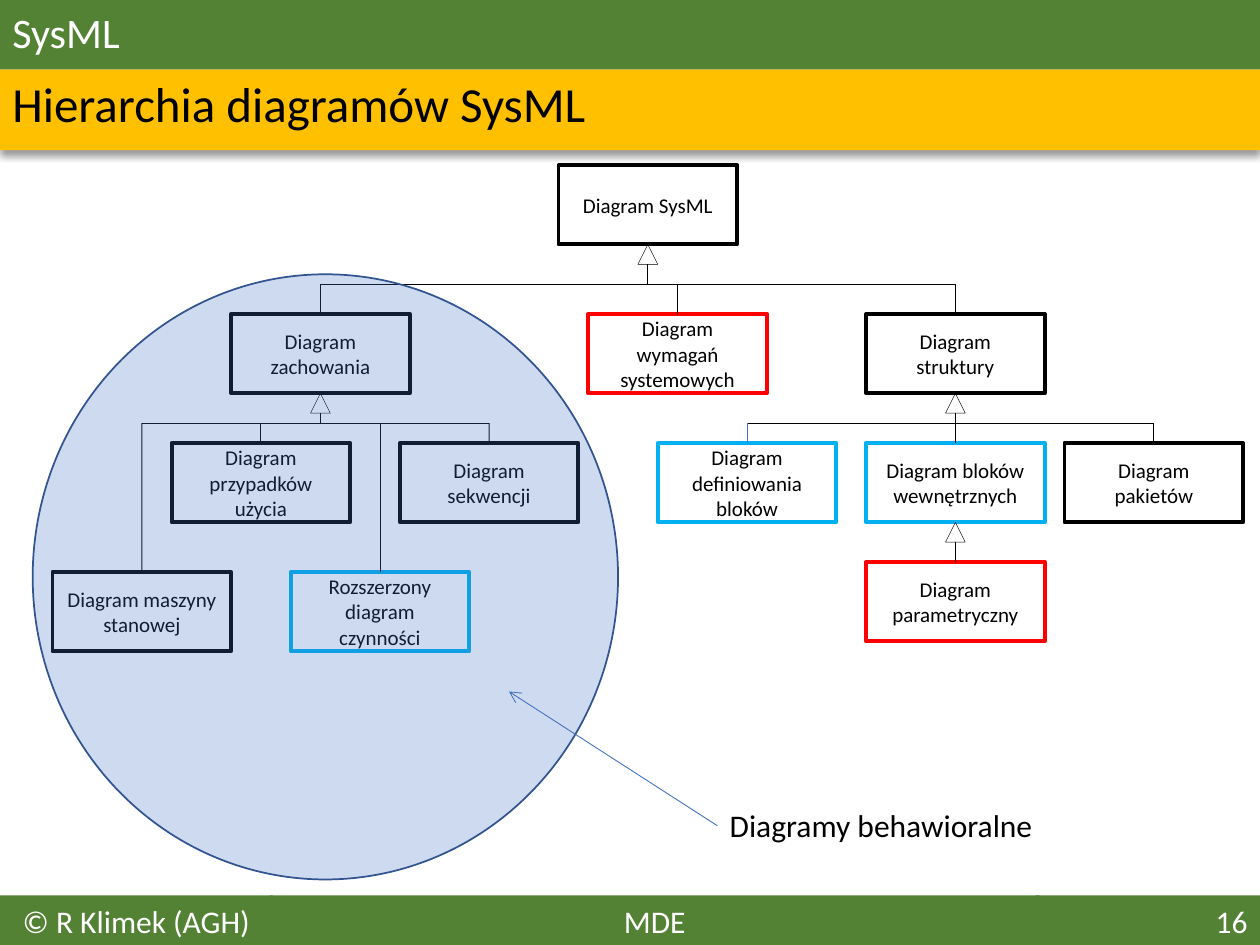
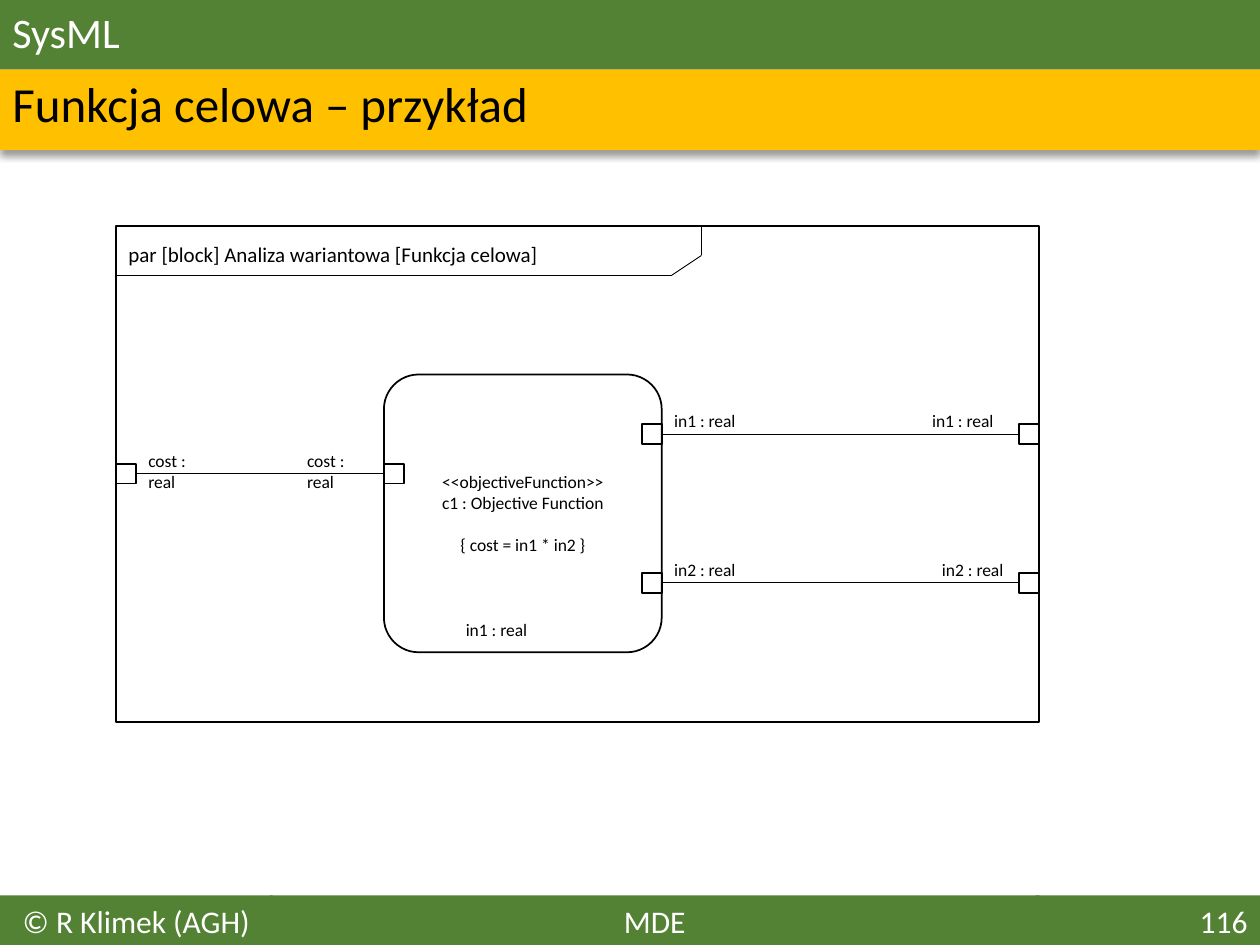
from dataclasses import dataclass
from itertools import pairwise
from typing import NamedTuple

from lxml.etree import SubElement
from pptx import Presentation
from pptx.dml.color import RGBColor
from pptx.enum.shapes import MSO_CONNECTOR, MSO_SHAPE
from pptx.enum.text import MSO_ANCHOR, PP_ALIGN
from pptx.oxml.ns import qn
from pptx.util import Cm, Pt

FONT = "Calibri"
GREEN, AMBER, WHITE, BLACK = "548235", "FFC000", "FFFFFF", "000000"
RED, CYAN, BLUE, NAVY = "FF0000", "00B0F0", "4472C4", "325491"
TOP, LEFT, BOTTOM, RIGHT = range(4)

NODE_WIDTH, NODE_HEIGHT = 3.6, 1.6
TRIANGLE = PORT = 0.4


class Area(NamedTuple):
    left: float
    top: float
    width: float
    height: float


class Point(NamedTuple):
    x: float
    y: float


@dataclass(frozen=True)
class TextStyle:
    size: float
    color: str = BLACK
    align: PP_ALIGN = PP_ALIGN.LEFT
    anchor: MSO_ANCHOR = MSO_ANCHOR.TOP
    line_spacing: float | None = None


HEADING = TextStyle(24, WHITE, anchor=MSO_ANCHOR.MIDDLE, line_spacing=0.9)
SUBHEADING = TextStyle(28, anchor=MSO_ANCHOR.MIDDLE, line_spacing=0.9)
FOOTER = TextStyle(18, WHITE, PP_ALIGN.CENTER)
PAGE_NUMBER = TextStyle(18, WHITE, PP_ALIGN.RIGHT)
NODE_TEXT = TextStyle(12, align=PP_ALIGN.CENTER, anchor=MSO_ANCHOR.MIDDLE)
FUNCTION_TEXT = TextStyle(10, align=PP_ALIGN.CENTER, anchor=MSO_ANCHOR.MIDDLE)
CALLOUT, FRAME_TITLE, PORT_LABEL = TextStyle(18), TextStyle(12), TextStyle(10)


@dataclass(frozen=True)
class Node:
    text: str
    center: float
    top: float
    outline: str = BLACK
    stem: str = BLACK

    @property
    def bottom(self) -> float:
        return self.top + NODE_HEIGHT


@dataclass(frozen=True)
class Generalization:
    parent: Node
    children: tuple[Node, ...]
    bus: float = 0


@dataclass(frozen=True)
class PortLink:
    left: float
    right: float
    top: float
    text: str
    label_lefts: tuple[float, float]


ROOT = Node("Diagram SysML", 13.06, 3.33)
BEHAVIOR = Node("Diagram zachowania", 6.46, 6.33)
REQUIREMENTS = Node("Diagram wymagań systemowych", 13.66, 6.33, RED)
STRUCTURE = Node("Diagram struktury", 19.26, 6.33)
STATE_MACHINE = Node("Diagram maszyny stanowej", 2.86, 11.53)
USE_CASE = Node("Diagram przypadków użycia", 5.26, 8.93)
ACTIVITY = Node("Rozszerzony diagram czynności", 7.66, 11.53, CYAN)
SEQUENCE = Node("Diagram sekwencji", 9.86, 8.93)
BLOCK_DEFINITION = Node("Diagram definiowania bloków", 15.06, 8.93, CYAN, BLUE)
INTERNAL_BLOCK = Node("Diagram bloków wewnętrznych", 19.26, 8.93, CYAN)
PACKAGE = Node("Diagram pakietów", 23.26, 8.93)
PARAMETRIC = Node("Diagram parametryczny", 19.26, 11.33, RED)

HIERARCHY = (
    Generalization(ROOT, (BEHAVIOR, REQUIREMENTS, STRUCTURE), 5.73),
    Generalization(BEHAVIOR, (STATE_MACHINE, USE_CASE, ACTIVITY, SEQUENCE), 8.53),
    Generalization(STRUCTURE, (BLOCK_DEFINITION, INTERNAL_BLOCK, PACKAGE), 8.53),
    Generalization(INTERNAL_BLOCK, (PARAMETRIC,)),
)

FRAME = Area(2.34, 4.55, 18.6, 10)
FUNCTION = Area(7.74, 7.55, 5.6, 5.6)
FUNCTION_RIGHT = FUNCTION.left + FUNCTION.width
FRAME_RIGHT = FRAME.left + FRAME.width
LINKS = (
    PortLink(FRAME.left, FUNCTION.left, 9.35, "cost : real", (2.74, 5.94)),
    PortLink(FUNCTION_RIGHT - PORT, FRAME_RIGHT - PORT, 8.55, "in1 : real", (13.34, 18.54)),
    PortLink(FUNCTION_RIGHT - PORT, FRAME_RIGHT - PORT, 11.55, "in2 : real", (13.34, 18.74)),
)


def rgb(color: str) -> RGBColor:
    return RGBColor.from_string(color)


def write(shape, lines: tuple[str, ...], style: TextStyle) -> None:
    frame = shape.text_frame
    frame.text = "\n".join(lines)
    frame.vertical_anchor = style.anchor
    for para in frame.paragraphs:
        para.alignment = style.align
        if style.line_spacing:
            para.line_spacing = style.line_spacing
        for span in para.runs:
            span.font.name = FONT
            span.font.size = Pt(style.size)
            span.font.color.rgb = rgb(style.color)


def add_box(page, area: Area, kind=MSO_SHAPE.RECTANGLE, fill: str | None = None,
            outline: str | None = None, weight: float = 1):
    box = page.shapes.add_shape(kind, *map(Cm, area))
    box.shadow.inherit = False
    if fill:
        box.fill.solid()
        box.fill.fore_color.rgb = rgb(fill)
    else:
        box.fill.background()
    if outline:
        box.line.color.rgb = rgb(outline)
        box.line.width = Pt(weight)
    else:
        box.line.fill.background()
    return box


def add_text(page, area: Area, text: str, style: TextStyle, wrap: bool = False):
    box = page.shapes.add_textbox(*map(Cm, area))
    box.text_frame.word_wrap = wrap
    write(box, (text,), style)
    return box


def add_line(page, start: Point, end: Point, color: str = BLACK):
    line = page.shapes.add_connector(MSO_CONNECTOR.STRAIGHT, *map(Cm, (*start, *end)))
    line.line.color.rgb = rgb(color)
    line.line.width = Pt(0.5)
    SubElement(line._element.spPr, qn("a:effectLst"))
    return line


def add_alpha(color_element, percent: int) -> None:
    SubElement(color_element, qn("a:alpha"), val=str(percent * 1000))


def add_band_shadow(band) -> None:
    effects = band._element.spPr.find(qn("a:effectLst"))
    shadow = SubElement(effects, qn("a:outerShdw"), blurRad=str(Pt(4)), dist=str(Pt(3)),
                        dir="5400000", algn="t", rotWithShape="0")
    add_alpha(SubElement(shadow, qn("a:srgbClr"), val=BLACK), 40)


def add_page(deck, subtitle: str, number: int):
    page = deck.slides.add_slide(deck.slide_layouts[6])
    add_band_shadow(add_box(page, Area(0, 1.4, 25.4, 1.63), fill=AMBER))
    add_text(page, Area(0, 1.4, 25.35, 1.5), subtitle, SUBHEADING, wrap=True)
    bands = (
        (Area(0, 0, 25.4, 1.4), "SysML", HEADING),
        (Area(5.44, 18.05, 15.52, 1), "MDE", FOOTER),
        (Area(0, 18.05, 5.5, 1), "© R Klimek (AGH)", FOOTER),
        (Area(20.88, 18.05, 4.52, 1), str(number), PAGE_NUMBER),
    )
    for area, text, style in bands:
        write(add_box(page, area, fill=GREEN), (text,), style)
    return page


def add_node(page, node: Node):
    area = Area(node.center - NODE_WIDTH / 2, node.top, NODE_WIDTH, NODE_HEIGHT)
    box = add_box(page, area, outline=node.outline, weight=2.25)
    write(box, (node.text,), NODE_TEXT)
    return box


def add_generalization(page, relation: Generalization, boxes: dict) -> None:
    parent, children = relation.parent, relation.children
    add_box(page, Area(parent.center - TRIANGLE / 2, parent.bottom, TRIANGLE, TRIANGLE),
            MSO_SHAPE.ISOSCELES_TRIANGLE, outline=BLACK, weight=0.25)
    tip = Point(parent.center, parent.bottom + TRIANGLE)
    if len(children) == 1:
        add_line(page, tip, Point(children[0].center, children[0].top)).end_connect(
            boxes[children[0]], TOP)
        return
    add_line(page, tip, Point(parent.center, relation.bus))
    centers = [child.center for child in children]
    add_line(page, Point(min(centers), relation.bus), Point(max(centers), relation.bus))
    for child in children:
        stem = add_line(page, Point(child.center, relation.bus),
                        Point(child.center, child.top), child.stem)
        stem.end_connect(boxes[child], TOP)


def build_hierarchy(deck) -> None:
    page = add_page(deck, "Hierarchia diagramów SysML", 16)
    nodes = (ROOT, *(child for relation in HIERARCHY for child in relation.children))
    boxes = {node: add_node(page, node) for node in nodes}
    for relation in HIERARCHY:
        add_generalization(page, relation, boxes)
    circle = add_box(page, Area(0.66, 5.53, 11.8, 12.2), MSO_SHAPE.OVAL, BLUE, NAVY)
    add_alpha(circle._element.spPr.find(qn("a:solidFill"))[0], 26)
    callout = add_text(page, Area(14.46, 16.13, 6.68, 1.03), "Diagramy behawioralne", CALLOUT)
    arrow = add_line(page, Point(14.46, 16.65), Point(10.26, 13.94), BLUE)
    arrow.begin_connect(callout, LEFT)
    SubElement(arrow.line._get_or_add_ln(), qn("a:tailEnd"), type="arrow")


def add_port_link(page, link: PortLink) -> None:
    left_port, right_port = (
        add_box(page, Area(left, link.top, PORT, PORT), outline=BLACK)
        for left in (link.left, link.right)
    )
    middle = link.top + PORT / 2
    wire = add_line(page, Point(link.left + PORT, middle), Point(link.right, middle))
    wire.begin_connect(left_port, RIGHT)
    wire.end_connect(right_port, LEFT)
    for left in link.label_lefts:
        add_text(page, Area(left, link.top - 0.4, 1.8, 0.68), link.text, PORT_LABEL)


def build_objective_function(deck) -> None:
    page = add_page(deck, "Funkcja celowa – przykład", 116)
    add_box(page, FRAME, outline=BLACK)
    tab = (Point(FRAME.left, 5.55), Point(13.54, 5.55), Point(14.14, 5.15),
           Point(14.14, FRAME.top))
    for start, end in pairwise(tab):
        add_line(page, start, end)
    add_text(page, Area(FRAME.left, 4.75, 8.84, 0.77),
             "par [block] Analiza wariantowa [Funkcja celowa]", FRAME_TITLE)
    function = add_box(page, FUNCTION, MSO_SHAPE.ROUNDED_RECTANGLE, outline=BLACK)
    function.adjustments[0] = 0.125
    write(function, ("<<objectiveFunction>>", "c1 : Objective Function",
                     "{ cost = in1 * in2 }"), FUNCTION_TEXT)
    function.text_frame.paragraphs[-1].space_before = Pt(12)
    for link in LINKS:
        add_port_link(page, link)
    add_text(page, Area(9.14, 12.35, 1.8, 0.68), "in1 : real", PORT_LABEL)


def main() -> None:
    deck = Presentation()
    deck.slide_width, deck.slide_height = Cm(25.4), Cm(19.05)
    build_hierarchy(deck)
    build_objective_function(deck)
    deck.save("out.pptx")


if __name__ == "__main__":
    main()
